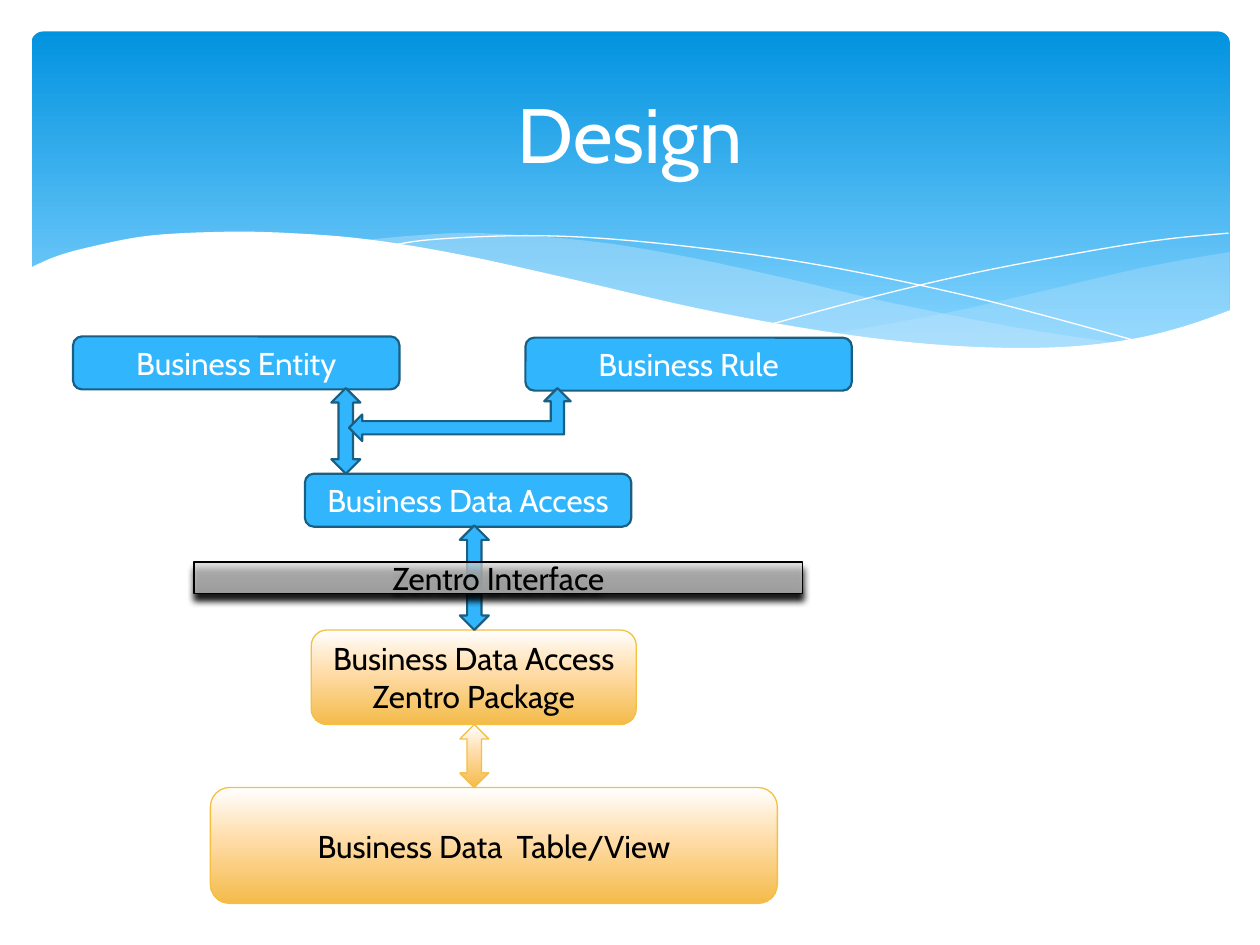
from lxml import etree
from pptx import Presentation
from pptx.dml.color import RGBColor
from pptx.enum.shapes import MSO_SHAPE
from pptx.enum.text import MSO_ANCHOR, PP_ALIGN
from pptx.oxml.ns import qn
from pptx.util import Inches, Pt

ROUNDED, RECT = MSO_SHAPE.ROUNDED_RECTANGLE, MSO_SHAPE.RECTANGLE
UP_DOWN, LEFT_UP = MSO_SHAPE.UP_DOWN_ARROW, MSO_SHAPE.LEFT_UP_ARROW
CENTER, MIDDLE = PP_ALIGN.CENTER, MSO_ANCHOR.MIDDLE

WHITE, BLACK = RGBColor(255, 255, 255), RGBColor(0, 0, 0)
SKY, NAVY = RGBColor(0x31, 0xB6, 0xFD), RGBColor(0x19, 0x5F, 0x84)
MIST, GOLD = RGBColor(0xC6, 0xE7, 0xFC), RGBColor(0xF5, 0xC0, 0x40)
BANNER = [(0, RGBColor(0x02, 0x93, 0xE0), 100), (90, RGBColor(0x83, 0xD3, 0xFE), 100)]
AMBER = [(0, WHITE, 100), (44, RGBColor(0xFF, 0xDD, 0xAA), 100),
         (100, RGBColor(0xF4, 0xBB, 0x4A), 100)]
STEEL = [(0, RGBColor(0xDA, 0xDA, 0xDA), 70), (50, RGBColor(0xC4, 0xC4, 0xC4), 75),
         (100, RGBColor(0x9C, 0x9C, 0x9C), 100)]
BLUE_STYLE = {"fill": SKY, "line": NAVY, "weight": 1.25}
AMBER_STYLE = {"fill": AMBER, "line": GOLD, "weight": 0.75}

RIGHT_WAVE_TOP = [(9.76, 2), (9.35, 2.07), (8.91, 2.16), (8.32, 2.3), (7.53, 2.48), (6.61, 2.65)]
RIGHT_WAVE_BOTTOM = [(6.61, 2.65), (7.19, 2.72), (7.69, 2.77), (8.24, 2.77), (8.72, 2.74),
                     (9.28, 2.63), (9.76, 2.47)]
MIDDLE_WAVE_TOP = [(8.93, 2.73), (8.07, 2.6), (7.06, 2.4), (6.29, 2.22), (5.41, 2.03),
                   (4.65, 1.91), (3.8, 1.85), (3.28, 1.87), (2.86, 1.91)]
MIDDLE_WAVE_BOTTOM = [(2.86, 1.91), (3.62, 2.03), (4.49, 2.22), (5.3, 2.4), (6.01, 2.55),
                      (6.8, 2.68), (7.48, 2.76), (8.07, 2.78), (8.57, 2.77), (8.93, 2.73)]
FALLING_LINE = [(3.09, 1.95), (3.44, 1.9), (4.16, 1.87), (4.89, 1.9), (5.82, 2), (6.65, 2.13),
                (7.6, 2.33), (8.31, 2.51), (9.07, 2.72)]
RISING_LINE = [(6.13, 2.57), (6.95, 2.35), (7.76, 2.16), (8.66, 1.99), (9.24, 1.9), (9.75, 1.85)]
FRONT_WAVE = [(9.77, 2.46), (9.4, 2.59), (8.99, 2.69), (8.5, 2.75), (7.93, 2.76), (7.26, 2.72),
              (6.48, 2.62), (5.55, 2.45), (4.47, 2.2), (3.65, 2.02), (2.92, 1.9), (2.3, 1.85),
              (1.77, 1.84), (1.19, 1.87), (0.76, 1.95), (0.46, 2.03), (0.23, 2.13)]


def curve(knots, steps=6):
    """Return points on a smooth curve through the knots."""
    padded = [knots[0], *knots, knots[-1]]
    points = [knots[0]]
    for a, b, c, d in zip(padded, padded[1:], padded[2:], padded[3:]):
        for step in range(1, steps + 1):
            t = step / steps
            points.append(tuple(
                (2 * q + (r - p) * t + (2 * p - 5 * q + 4 * r - s) * t ** 2
                 + (3 * q - p - 3 * r + s) * t ** 3) / 2
                for p, q, r, s in zip(a, b, c, d)))
    return points


def write(frame, text, size=18, color=WHITE, font="Cabin"):
    """Put centred, formatted text in a text frame."""
    frame.word_wrap = True
    frame.vertical_anchor = MIDDLE
    paragraph = frame.paragraphs[0]
    paragraph.alignment = CENTER
    run = paragraph.add_run()
    run.text = text
    run.font.size, run.font.name, run.font.color.rgb = Pt(size), font, color


class DesignSlide:
    """Draw the elements of the design slide in one style."""

    def __init__(self, slide):
        """Keep the slide to draw on."""
        self.slide = slide

    def paint(self, shape, fill, line=None, weight=0, alpha=100):
        """Set the fill and outline, without a shadow."""
        shape.shadow.inherit = False
        properties = shape.element.spPr
        if fill is None:
            shape.fill.background()
        elif isinstance(fill, list):
            shape.fill.gradient()
            shape.fill.gradient_angle = 270
            stops = properties.find(".//" + qn("a:gsLst"))
            stops.clear()
            for position, color, opacity in fill:
                stop = etree.SubElement(stops, qn("a:gs"), pos=str(position * 1000))
                tint = etree.SubElement(stop, qn("a:srgbClr"), val=str(color))
                etree.SubElement(tint, qn("a:alpha"), val=str(opacity * 1000))
        else:
            shape.fill.solid()
            shape.fill.fore_color.rgb = fill
            tint = properties.find(".//" + qn("a:srgbClr"))
            etree.SubElement(tint, qn("a:alpha"), val=str(alpha * 1000))
        if line is None:
            shape.line.fill.background()
        else:
            shape.line.color.rgb = line
            shape.line.width = Pt(weight)

    def shape(self, kind, left, top, width, height, text="", color=WHITE, **style):
        """Add a preset shape, with text if there is any."""
        box = [Inches(length) for length in (left, top, width, height)]
        shape = self.slide.shapes.add_shape(kind, *box)
        self.paint(shape, **style)
        if text:
            write(shape.text_frame, text, color=color)
        return shape

    def wave(self, points, close=True, **style):
        """Add a freeform through the points."""
        corners = [(Inches(x), Inches(y)) for x, y in points]
        builder = self.slide.shapes.build_freeform(*corners[0])
        builder.add_line_segments(corners[1:], close=close)
        self.paint(builder.convert_to_shape(), **style)

    def drop_shadow(self, shape):
        """Cast a black shadow below the shape."""
        effects = shape.element.spPr.find(qn("a:effectLst"))
        shadow = etree.SubElement(effects, qn("a:outerShdw"), blurRad=str(Pt(4)),
                                  dist=str(Pt(4)), dir="5400000", rotWithShape="0")
        etree.SubElement(shadow, qn("a:srgbClr"), val=str(BLACK))

    def title(self, text):
        """Fill the title placeholder and bring it to the front."""
        title = self.slide.shapes.title
        title.left, title.top = Inches(0.5), Inches(0.37)
        title.width, title.height = Inches(9), Inches(1.37)
        write(title.text_frame, text, size=44)
        self.slide.shapes.element.append(title.element)


def main():
    """Build the slide and save it."""
    deck = Presentation()
    deck.slide_width, deck.slide_height = Inches(10), Inches(7.5)
    design = DesignSlide(deck.slides.add_slide(deck.slide_layouts[5]))

    banner = design.shape(ROUNDED, 0.25, 0.25, 9.51, 2.7, fill=BANNER)
    banner.adjustments[0] = 0.034
    design.wave(curve(RIGHT_WAVE_TOP) + curve(RIGHT_WAVE_BOTTOM), fill=MIST, alpha=29)
    design.wave(curve(MIDDLE_WAVE_TOP) + curve(MIDDLE_WAVE_BOTTOM), fill=MIST, alpha=40)
    for knots in (FALLING_LINE, RISING_LINE):
        design.wave(curve(knots), close=False, fill=None, line=WHITE)
    design.wave(curve(FRONT_WAVE) + [(0.23, 3.29), (9.77, 3.29)], fill=WHITE)
    design.title("Design")

    for left, top, text in ((0.58, 2.67, "Business Entity"), (4.17, 2.68, "Business Rule"),
                            (2.42, 3.76, "Business Data Access")):
        design.shape(ROUNDED, left, top, 2.59, 0.42, text, **BLUE_STYLE)
    design.shape(ROUNDED, 2.47, 5, 2.58, 0.75, "Business Data Access Zentro Package",
                 BLACK, **AMBER_STYLE)
    design.shape(ROUNDED, 1.67, 6.25, 4.5, 0.92, "Business Data  Table/View",
                 BLACK, **AMBER_STYLE)

    design.shape(UP_DOWN, 3.65, 5.75, 0.23, 0.5, **AMBER_STYLE)
    design.shape(UP_DOWN, 3.65, 4.17, 0.23, 0.83, **BLUE_STYLE)
    design.shape(UP_DOWN, 2.63, 3.08, 0.23, 0.68, **BLUE_STYLE)
    design.shape(LEFT_UP, 2.77, 3.08, 1.76, 0.42, **BLUE_STYLE)

    interface = design.shape(RECT, 1.54, 4.46, 4.83, 0.25, "Zentro Interface", BLACK,
                             fill=STEEL, line=BLACK, weight=0.75)
    design.drop_shadow(interface)
    deck.save("out.pptx")


if __name__ == "__main__":
    main()
